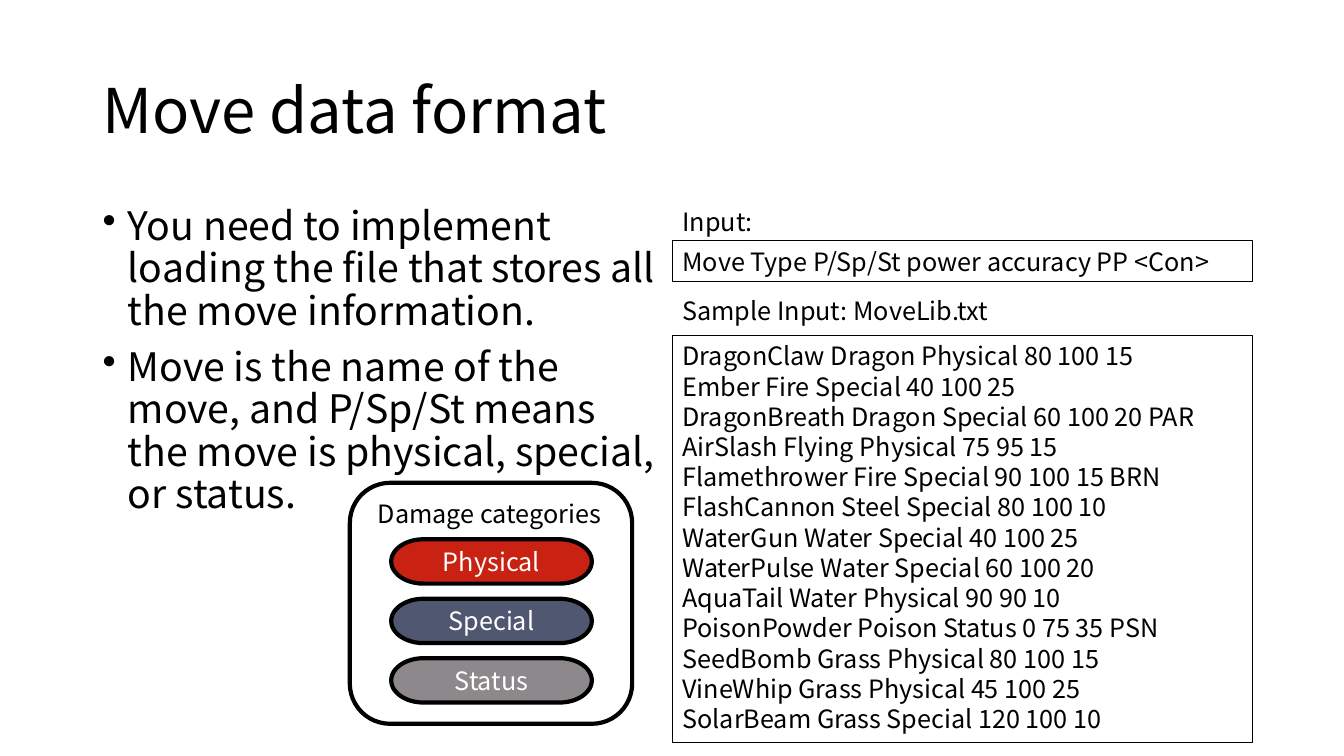
"""Build the slide that explains the move data format."""
from dataclasses import dataclass, field
from typing import Any, Optional

from lxml.etree import SubElement
from pptx import Presentation
from pptx.dml.color import RGBColor
from pptx.enum.shapes import MSO_SHAPE
from pptx.enum.text import MSO_ANCHOR, MSO_AUTO_SIZE, PP_ALIGN
from pptx.oxml.ns import qn
from pptx.slide import Slide
from pptx.text.text import _Paragraph
from pptx.util import Inches, Pt

BLACK = RGBColor(0x00, 0x00, 0x00)
WHITE = RGBColor(0xFF, 0xFF, 0xFF)
RED = RGBColor(0xC9, 0x21, 0x12)
BLUE = RGBColor(0x4F, 0x58, 0x70)
GRAY = RGBColor(0x8C, 0x88, 0x8C)
FONT_NAME = "Noto Sans CJK JP"

COLUMN_LEFT, COLUMN_WIDTH, LINE_HEIGHT = 6.67, 5.75, 0.4
PILL_TOP, PILL_STEP = 5.35, 0.59

GROWING = {"auto_size": MSO_AUTO_SIZE.SHAPE_TO_FIT_TEXT}
MIDDLE = {"vertical_anchor": MSO_ANCHOR.MIDDLE}
CENTERED = {"alignment": PP_ALIGN.CENTER}
TIGHT = {"line_spacing": 0.9}

BULLETS = (
    "You need to implement loading the file that stores all the move information.",
    "Move is the name of the move, and P/Sp/St means the move is physical, special, or status.",
)
MOVES = (
    "DragonClaw Dragon Physical 80 100 15",
    "Ember Fire Special 40 100 25",
    "DragonBreath Dragon Special 60 100 20 PAR",
    "AirSlash Flying Physical 75 95 15",
    "Flamethrower Fire Special 90 100 15 BRN",
    "FlashCannon Steel Special 80 100 10",
    "WaterGun Water Special 40 100 25",
    "WaterPulse Water Special 60 100 20",
    "AquaTail Water Physical 90 90 10",
    "PoisonPowder Poison Status 0 75 35 PSN",
    "SeedBomb Grass Physical 80 100 15",
    "VineWhip Grass Physical 45 100 25",
    "SolarBeam Grass Special 120 100 10",
)
CATEGORIES = (("Physical", RED), ("Special", BLUE), ("Status", GRAY))


@dataclass(frozen=True)
class Box:
    """One text box or outlined shape on the slide."""

    left: float
    top: float
    width: float
    height: float
    lines: tuple[str, ...] = ()
    size: float = 18
    color: RGBColor = BLACK
    outline: Optional[MSO_SHAPE] = None
    line_width: float = 0.75
    fill: Optional[RGBColor] = None
    bulleted: bool = False
    frame_format: dict[str, Any] = field(default_factory=dict)
    para_format: dict[str, Any] = field(default_factory=dict)


def apply_format(target: Any, values: dict[str, Any]) -> None:
    """Set each named attribute on the target."""
    for name, value in values.items():
        setattr(target, name, value)


def add_bullet(para: _Paragraph) -> None:
    """Give the paragraph a hanging bullet."""
    properties = para._p.get_or_add_pPr()
    properties.set("marL", str(Inches(0.25)))
    properties.set("indent", str(Inches(-0.25)))
    SubElement(properties, qn("a:buChar")).set("char", "•")


def draw_box(page: Slide, box: Box) -> None:
    """Draw one box with its outline and text."""
    place = [Inches(value) for value in (box.left, box.top, box.width, box.height)]
    if box.outline is None:
        shape = page.shapes.add_textbox(*place)
    else:
        shape = page.shapes.add_shape(box.outline, *place)
        shape.shadow.inherit = False
        shape.line.color.rgb = BLACK
        shape.line.width = Pt(box.line_width)
        if box.fill is None:
            shape.fill.background()
        else:
            shape.fill.solid()
            shape.fill.fore_color.rgb = box.fill

    frame = shape.text_frame
    base_format = {"word_wrap": True, "vertical_anchor": MSO_ANCHOR.TOP}
    apply_format(frame, base_format | box.frame_format)
    for index, line in enumerate(box.lines):
        para = frame.add_paragraph() if index else frame.paragraphs[0]
        apply_format(para, {"alignment": PP_ALIGN.LEFT} | box.para_format)
        if box.bulleted:
            add_bullet(para)
        span = para.add_run()
        span.text = line
        apply_format(span.font, {"name": FONT_NAME, "size": Pt(box.size)})
        span.font.color.rgb = box.color


def column_box(top: float, lines: tuple[str, ...], height: float = LINE_HEIGHT,
               outline: Optional[MSO_SHAPE] = None) -> Box:
    """Describe a box in the right column."""
    return Box(COLUMN_LEFT, top, COLUMN_WIDTH, height, lines, outline=outline,
               frame_format=GROWING)


def category_pill(index: int, label: str, fill: RGBColor) -> Box:
    """Describe one damage category pill."""
    return Box(3.88, PILL_TOP + index * PILL_STEP, 1.99, 0.44, (label,), color=WHITE,
               outline=MSO_SHAPE.FLOWCHART_TERMINATOR, line_width=3, fill=fill,
               frame_format=MIDDLE, para_format=CENTERED)


def main() -> None:
    """Build and save the deck."""
    deck = Presentation()
    apply_format(deck, {"slide_width": Inches(13.33), "slide_height": Inches(7.5)})
    page = deck.slides.add_slide(deck.slide_layouts[6])
    boxes = [
        Box(0.92, 0.4, 11.5, 1.45, ("Move data format",), size=44,
            frame_format=MIDDLE, para_format=TIGHT),
        Box(0.92, 2, 5.75, 4.76, BULLETS, size=28, bulleted=True,
            para_format=TIGHT | {"space_before": Pt(10)}),
        column_box(3.33, MOVES, 4.04, MSO_SHAPE.RECTANGLE),
        column_box(2.39, ("Move Type P/Sp/St power accuracy PP <Con>",),
                   outline=MSO_SHAPE.RECTANGLE),
        column_box(2, ("Input:",)),
        column_box(2.88, ("Sample Input: MoveLib.txt",)),
        *(category_pill(index, *category) for index, category in enumerate(CATEGORIES)),
        Box(3.65, 4.89, 2.46, LINE_HEIGHT, ("Damage categories",),
            frame_format=GROWING | {"word_wrap": False}),
        Box(3.47, 4.79, 2.8, 2.39, outline=MSO_SHAPE.FLOWCHART_ALTERNATE_PROCESS,
            line_width=3),
    ]
    for box in boxes:
        draw_box(page, box)
    deck.save("out.pptx")


if __name__ == "__main__":
    main()
